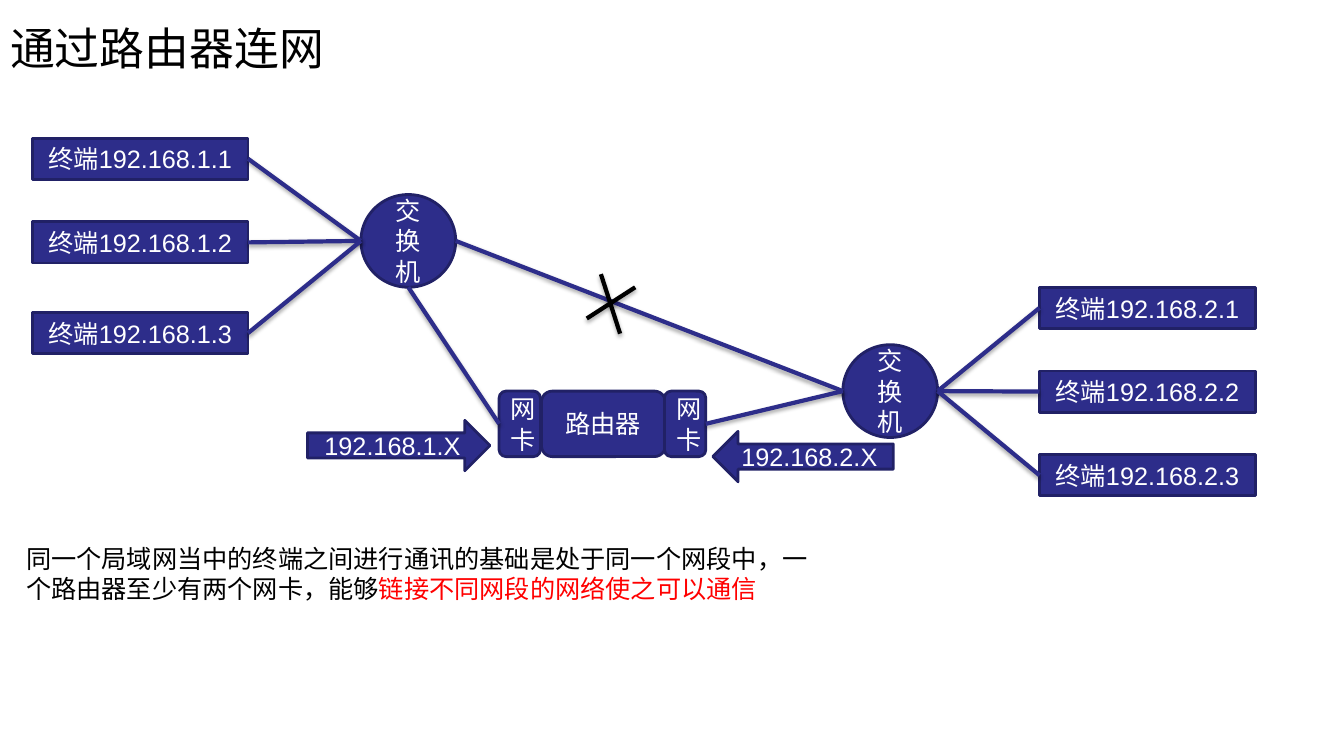
from dataclasses import dataclass

from lxml.etree import SubElement
from pptx import Presentation
from pptx.dml.color import RGBColor
from pptx.enum.shapes import MSO_CONNECTOR as Link, MSO_SHAPE as Kind
from pptx.enum.text import MSO_ANCHOR as Anchor, PP_ALIGN as Align
from pptx.oxml.ns import qn
from pptx.shapes.autoshape import Shape
from pptx.shapes.connector import Connector
from pptx.slide import Slide
from pptx.text.text import TextFrame
from pptx.util import Inches, Pt

NAVY, EDGE, WHITE, BLACK, RED = "2D2D8A", "212166", "FFFFFF", "000000", "FF0000"
CJK = "Noto Sans CJK SC"
LEFT, RIGHT = 1, 3  # connection sites of a rectangle


@dataclass
class Node:
    text: str
    x: float
    y: float
    w: float
    h: float
    kind: Kind = Kind.RECTANGLE

    @property
    def west(self) -> tuple[float, float]:
        return self.x, self.y + self.h / 2

    @property
    def east(self) -> tuple[float, float]:
        return self.x + self.w, self.y + self.h / 2

    @property
    def south(self) -> tuple[float, float]:
        return self.x + self.w / 2, self.y + self.h


def color(code: str) -> RGBColor:
    return RGBColor.from_string(code)


def write(frame: TextFrame, *parts: tuple[str, str], size: float = 18,
          font: str = "Arial", align: Align = Align.LEFT,
          anchor: Anchor = Anchor.TOP) -> None:
    """Fill the frame with one paragraph of (text, colour) parts."""
    frame.word_wrap = True
    frame.vertical_anchor = anchor
    para = frame.paragraphs[0]
    para.alignment = align
    for text, code in parts:
        run = para.add_run()
        run.text = text
        run.font.size = Pt(size)
        run.font.name = font
        run.font.color.rgb = color(code)
        SubElement(run.font._element, qn("a:ea"), typeface=CJK)


def draw(slide: Slide, node: Node) -> Shape:
    shape = slide.shapes.add_shape(
        node.kind, Inches(node.x), Inches(node.y), Inches(node.w), Inches(node.h))
    shape.shadow.inherit = False
    shape.fill.solid()
    shape.fill.fore_color.rgb = color(NAVY)
    shape.line.color.rgb = color(EDGE)
    shape.line.width = Pt(2)
    write(shape.text_frame, (node.text, WHITE),
          align=Align.CENTER, anchor=Anchor.MIDDLE)
    return shape


def join(slide: Slide, start: tuple[float, float], end: tuple[float, float],
         code: str = NAVY) -> Connector:
    """Draw a straight line with a soft shadow below it."""
    line = slide.shapes.add_connector(
        Link.STRAIGHT, *(Inches(v) for v in (*start, *end)))
    line.line.color.rgb = color(code)
    line.line.width = Pt(3)
    effect = SubElement(line._element.spPr, qn("a:effectLst"))
    shade = SubElement(effect, qn("a:outerShdw"), blurRad=str(Pt(3.1)),
                       dist=str(Pt(1.8)), dir="5400000", rotWithShape="0")
    tint = SubElement(shade, qn("a:srgbClr"), val=BLACK)
    SubElement(tint, qn("a:alpha"), val="35000")
    return line


def main() -> None:
    deck = Presentation()
    deck.slide_width, deck.slide_height = Inches(13.33), Inches(7.5)
    slide = deck.slides.add_slide(deck.slide_layouts[5])

    title = slide.shapes.title
    title.left, title.top = Inches(0), Inches(0)
    title.width, title.height = Inches(10.31), Inches(0.94)
    write(title.text_frame, ("通过路由器连网", BLACK), size=32, font=CJK,
          anchor=Anchor.MIDDLE)

    near = [Node(f"终端192.168.1.{i}", 0.32, y, 2.14, 0.41)
            for i, y in enumerate((1.37, 2.2, 3.1), 1)]
    far = [Node(f"终端192.168.2.{i}", 10.31, 2.02 + 0.83 * i, 2.14, 0.41)
           for i in range(1, 4)]
    hub1, hub2 = (Node("交换机", x, y, 0.94, 0.92, Kind.OVAL)
                  for x, y in ((3.58, 1.93), (8.36, 3.42)))
    router = Node("路由器", 5.37, 3.88, 1.23, 0.65, Kind.ROUNDED_RECTANGLE)
    card1, card2 = (Node("网卡", x, 3.88, 0.41, 0.65, Kind.ROUNDED_RECTANGLE)
                    for x in (4.95, 6.59))

    near_boxes = [draw(slide, node) for node in near]
    far_boxes = [draw(slide, node) for node in far]
    for node in (hub1, hub2, router):
        draw(slide, node)
    box1, box2 = draw(slide, card1), draw(slide, card2)

    for node, box in zip(near, near_boxes):
        join(slide, node.east, hub1.west).begin_connect(box, RIGHT)
    join(slide, hub1.east, hub2.west)
    for node, box in zip(far, far_boxes):
        join(slide, hub2.east, node.west).end_connect(box, LEFT)
    join(slide, card2.east, hub2.west).begin_connect(box2, RIGHT)
    join(slide, hub1.south, card1.west).end_connect(box1, LEFT)

    # Cross marking the blocked direct link
    join(slide, (5.96, 2.72), (6.15, 3.31), BLACK)
    join(slide, (5.82, 3.16), (6.3, 2.85), BLACK)

    note = slide.shapes.add_textbox(
        Inches(0.16), Inches(5.34), Inches(8.08), Inches(0.71))
    write(note.text_frame,
          ("同一个局域网当中的终端之间进行通讯的基础是处于同一个网段中，"
           "一个路由器至少有两个网卡，能够", BLACK),
          ("链接不同网段的网络使之可以通信", RED))

    draw(slide, Node("192.168.1.X", 3.05, 4.17, 1.81, 0.5, Kind.RIGHT_ARROW))
    draw(slide, Node("192.168.2.X", 7.07, 4.28, 1.79, 0.5, Kind.LEFT_ARROW))

    deck.save("out.pptx")


if __name__ == "__main__":
    main()
